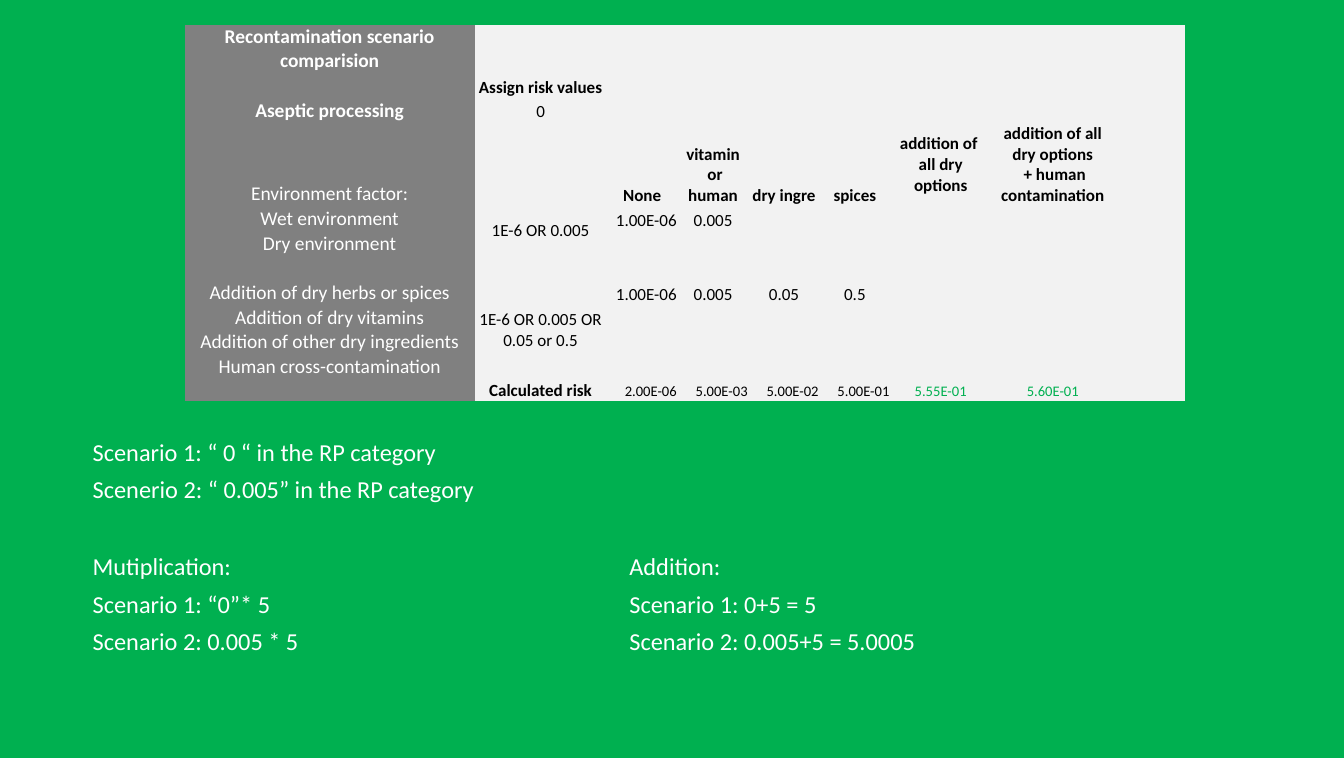
from dataclasses import dataclass

from lxml import etree
from pptx import Presentation
from pptx import util as u
from pptx.dml.color import RGBColor
from pptx.enum import text
from pptx.oxml.ns import qn

# Content: one list per table row, shorter rows are filled up with empty cells
RISK_ROWS = [
    ["Recontamination scenario comparision"],
    ["", "Assign risk values"],
    ["Aseptic processing", "0"],
    ["Environment factor:", "", "None", "vitamin\v or human", "dry ingre", "spices",
     "addition of \vall dry options",
     "addition of all dry options\v + human contamination"],
    ["Wet environment", "1E-6 OR 0.005", "1.00E-06", "0.005"],
    ["Dry environment"],
    [],
    ["Addition of dry herbs or spices", "1E-6 OR 0.005 OR\v0.05 or 0.5",
     "1.00E-06", "0.005", "0.05", "0.5"],
    ["Addition of dry vitamins"],
    ["Addition of other dry ingredients"],
    ["Human cross-contamination"],
    ["", "Calculated risk", "2.00E-06", "5.00E-03", "5.00E-02", "5.00E-01",
     "5.55E-01", "5.60E-01"],
]
COLUMN_WIDTHS = [3.31, 1.51, 0.81, 0.81, 0.81, 0.81, 1.15, 1.41, 0.81]
ROW_HEIGHTS = [0.55, 0.28, 0.28, 0.94] + [0.28] * 7 + [0.25]
MERGES = {4: 5, 7: 10}  # first row: last row, in the risk value column
HEADER_ROW, RESULT_ROW = 3, 11
LABEL_COL, VALUE_COL, FIRST_SUM_COL = 0, 1, 6

NOTES = [  # left, top, width, lines
    (0.96, 4.94, 5.59, ["Scenario 1: “ 0 “ in the RP category",
                        "Scenerio 2: “ 0.005” in the RP category"]),
    (0.96, 6.25, 2.68, ["Mutiplication:", "Scenario 1: “0”* 5",
                        "Scenario 2: 0.005 * 5"]),
    (7.09, 6.25, 4.2, ["Addition:", "Scenario 1: 0+5 = 5",
                       "Scenario 2: 0.005+5 = 5.0005"]),
]


@dataclass(frozen=True)
class Theme:
    font: str = "Calibri"
    green: str = "00B050"
    grey: str = "808080"
    pale: str = "F2F2F2"
    white: str = "FFFFFF"
    black: str = "000000"
    note: int = 20
    label: int = 16
    value: int = 14
    result: int = 12


THEME = Theme()
NO_STYLE = "{2D5ABB26-0587-4C30-8999-92F81FD0307C}"


def set_fill(fill, color):
    fill.solid()
    fill.fore_color.rgb = RGBColor.from_string(color)


def write(p, words, size, color, bold=False, align=None, after=None):
    p.alignment = align
    if after is not None:
        p.space_after = u.Pt(after)
    if not words:
        end = etree.SubElement(p._p, qn("a:endParaRPr"))
        end.set("sz", str(size * 100))
        return
    p.text = words
    for r in p.runs:
        r.font.name = THEME.font
        r.font.size = u.Pt(size)
        r.font.bold = bold
        r.font.color.rgb = RGBColor.from_string(color)


def cell_format(row, col, words):
    """Give the text format that follows from a cell's place in the table."""
    align = text.PP_ALIGN.CENTER
    if col == LABEL_COL:
        size = THEME.result if row == RESULT_ROW else THEME.label
        return dict(size=size, color=THEME.white, bold=row <= 2, align=align)
    is_result = row == RESULT_ROW and col > VALUE_COL
    is_sum = is_result and col >= FIRST_SUM_COL
    if (is_result and not is_sum) or words == "1.00E-06":
        align = text.PP_ALIGN.RIGHT
    return dict(
        size=THEME.result if is_result or not words else THEME.value,
        color=THEME.green if is_sum else THEME.black,
        bold=row in (1, HEADER_ROW) or (row, col) == (RESULT_ROW, VALUE_COL),
        align=align,
    )


def add_risk_table(slide):
    frame = slide.shapes.add_table(
        len(ROW_HEIGHTS), len(COLUMN_WIDTHS), u.Inches(2.11), u.Inches(0.28),
        u.Inches(sum(COLUMN_WIDTHS)), u.Inches(sum(ROW_HEIGHTS)))
    table = frame.table
    table.first_row = table.horz_banding = False
    table._tbl.tblPr.find(qn("a:tableStyleId")).text = NO_STYLE
    for column, width in zip(table.columns, COLUMN_WIDTHS):
        column.width = u.Inches(width)
    for row, height in enumerate(ROW_HEIGHTS):
        table.rows[row].height = u.Inches(height)
        for col in range(len(COLUMN_WIDTHS)):
            words = RISK_ROWS[row][col] if col < len(RISK_ROWS[row]) else ""
            cell = table.cell(row, col)
            set_fill(cell.fill, THEME.grey if col == LABEL_COL else THEME.pale)
            cell.margin_left = cell.margin_right = cell.margin_top = u.Inches(0.01)
            cell.margin_bottom = 0
            centred = ((row == HEADER_ROW and col >= FIRST_SUM_COL)
                       or (row in MERGES and col == VALUE_COL))
            cell.vertical_anchor = (text.MSO_ANCHOR.MIDDLE if centred
                                    else text.MSO_ANCHOR.BOTTOM)
            write(cell.text_frame.paragraphs[0], words,
                  **cell_format(row, col, words))
    for first, last in MERGES.items():
        table.cell(first, VALUE_COL).merge(table.cell(last, VALUE_COL))


def add_note(slide, left, top, width, lines):
    s = slide.shapes.add_textbox(u.Inches(left), u.Inches(top),
                                 u.Inches(width), u.Inches(1.31))
    tf = s.text_frame
    tf.word_wrap = True
    for i, line in enumerate(lines):
        p = tf.add_paragraph() if i else tf.paragraphs[0]
        write(p, line, THEME.note, THEME.white, after=6.9)


def main():
    prs = Presentation()
    prs.slide_width, prs.slide_height = u.Inches(15.35), u.Inches(8.66)
    slide = prs.slides.add_slide(prs.slide_layouts[6])
    set_fill(slide.background.fill, THEME.green)
    add_risk_table(slide)
    for note in NOTES:
        add_note(slide, *note)
    prs.save("out.pptx")


if __name__ == "__main__":
    main()
